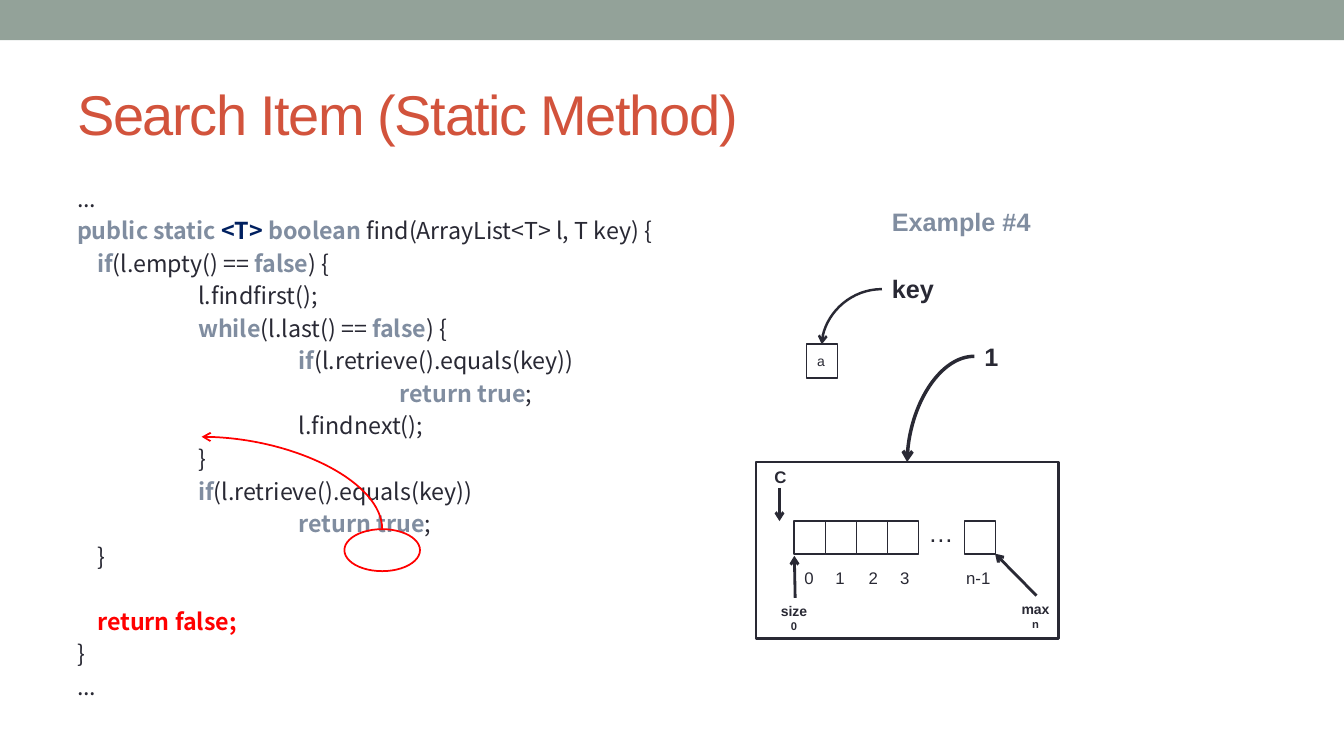
from pptx import Presentation
from pptx.dml.color import RGBColor
from pptx.enum.shapes import MSO_CONNECTOR as CONN, MSO_SHAPE as SHAPE
from pptx.enum.text import MSO_ANCHOR as ANCHOR, MSO_AUTO_SIZE as AUTO, PP_ALIGN as ALIGN
from pptx.oxml.ns import qn
from pptx.util import Pt
from lxml import etree

C = {name: RGBColor.from_string(value) for name, value in {
    "bar": "93A299", "title": "D2533C", "ink": "292934", "keyword": "808DA0",
    "type": "002060", "red": "FF0000", "white": "FFFFFF"}.items()}

prs = Presentation()
prs.slide_width, prs.slide_height = Pt(960), Pt(540)
s = prs.slides.add_slide(prs.slide_layouts[5])


def add_shape(kind, x, y, w, h, line=None, width=1.25, fill=None):
    sp = s.shapes.add_shape(kind, Pt(x), Pt(y), Pt(w), Pt(h))
    sp.shadow.inherit = False
    if fill:
        sp.fill.solid()
        sp.fill.fore_color.rgb = C[fill]
    else:
        sp.fill.background()
    if line:
        sp.line.color.rgb = C[line]
        sp.line.width = Pt(width)
    else:
        sp.line.fill.background()


# Top bar and title
add_shape(SHAPE.RECTANGLE, 0, 0, 960, 28.8, fill="bar")
title = s.shapes.title
title.left, title.top, title.width, title.height = Pt(48), Pt(42), Pt(864), Pt(78)
tf = title.text_frame
tf.text = "Search Item (Static Method)"
tf.vertical_anchor = ANCHOR.MIDDLE
p = tf.paragraphs[0]
p.alignment = ALIGN.LEFT
p.font.name, p.font.size, p.font.color.rgb = "Arial", Pt(40), C["title"]
p.runs[0].font.size = Pt(40)
p.runs[0]._r.get_or_add_rPr().set("spc", "-100")

# Code: nesting level, then runs of text and colour; all but ink is bold
test = [("if", "keyword"), ("(l.retrieve().equals(key))", "ink")]
found = [("return true", "keyword"), (";", "ink")]
code = [
    (0, [("...", "ink")]),
    (0, [("public static ", "keyword"), ("<T> ", "type"), ("boolean ", "keyword"),
         ("find(ArrayList<T> l, T key) {", "ink")]),
    (1, [("if", "keyword"), ("(l.empty() == ", "ink"), ("false", "keyword"), (") {", "ink")]),
    (2, [("l.findfirst();", "ink")]),
    (2, [("while", "keyword"), ("(l.last() == ", "ink"), ("false", "keyword"), (") {", "ink")]),
    (3, test),
    (4, found),
    (3, [("l.findnext();", "ink")]),
    (2, [("}", "ink")]),
    (2, test),
    (3, found),
    (1, [("}", "ink")]),
    (1, [("return false;", "red")]),
    (0, [("}", "ink")]),
    (0, [("...", "ink")]),
]
LINE = 23.25
tf = s.shapes.add_textbox(Pt(48), Pt(124.5), Pt(864), Pt(384)).text_frame
tf.word_wrap = True
for i, (level, runs) in enumerate(code):
    p = tf.paragraphs[0] if i == 0 else tf.add_paragraph()
    indent = 14.4 + 72 * (level - 1) if level else 0
    p._p.get_or_add_pPr().set("marL", str(Pt(indent)))
    p.line_spacing = Pt(LINE)
    if runs[0][1] == "red":
        p.space_before = Pt(LINE)
    p.font.name, p.font.size = "Noto Sans CJK SC", Pt(16.6)
    for text, color in runs:
        r = p.add_run()
        r.text = text
        r.font.color.rgb = C[color]
        r.font.bold = color != "ink"

# Array cells, list frame, key cell and highlight
CELL_W, CELL_H = 22.2, 23.8
for i in range(4):
    add_shape(SHAPE.RECTANGLE, 567.4 + i * CELL_W, 372.2, CELL_W, CELL_H, "ink")
add_shape(SHAPE.RECTANGLE, 689, 372.2, CELL_W, CELL_H, "ink", fill="white")
add_shape(SHAPE.RECTANGLE, 540, 330, 216, 126, "ink", 2)
add_shape(SHAPE.RECTANGLE, 576, 246, CELL_W, CELL_H, "ink")
add_shape(SHAPE.OVAL, 246, 378, 54, 30, "red")

# Labels: lines, left, top, width, height, size, bold, colour
labels = [
    (["…"], 656, 366, 32.4, 29, 18, False, "ink"),
    (["0"], 567.4, 401.8, 21, 21.8, 12, False, "ink"),
    (["1"], 589.7, 401.8, 21, 21.8, 12, False, "ink"),
    (["2"], 613.4, 401.8, 21, 21.8, 12, False, "ink"),
    (["3"], 635.8, 401.8, 21, 21.8, 12, False, "ink"),
    (["n-1"], 683, 401.8, 32, 21.8, 12, False, "ink"),
    (["C"], 546, 330, 23, 21.8, 12, True, "ink"),
    (["size", "0"], 550.6, 427, 34, 29, 10, True, "ink"),
    (["max", "n"], 722.6, 425.5, 36, 29, 10, True, "ink"),
    (["1"], 696, 240, 24.5, 29, 18, True, "ink"),
    (["key"], 630, 192, 44.6, 29, 18, True, "ink"),
    (["a"], 576.5, 248.4, 21, 19.4, 10, False, "ink"),
    (["Example #4"], 630, 144, 118, 29, 18, True, "keyword"),
]
for lines, x, y, w, h, size, bold, color in labels:
    tf = s.shapes.add_textbox(Pt(x), Pt(y), Pt(w), Pt(h)).text_frame
    tf.word_wrap = False
    tf.auto_size = AUTO.SHAPE_TO_FIT_TEXT
    for i, text in enumerate(lines):
        p = tf.paragraphs[0] if i == 0 else tf.add_paragraph()
        p.text = text
        p.font.name, p.font.bold = "Arial", bold
        p.font.size = Pt(8 if i else size)
        p.font.color.rgb = C[color]
        if i:
            p.alignment = ALIGN.CENTER

# Arrows: kind, start, end, colour, width, end that carries the arrowhead
arrows = [
    (CONN.STRAIGHT, 556.8, 348.5, 556.8, 372.2, "ink", 2, "tailEnd"),
    (CONN.STRAIGHT, 568, 427, 567.4, 397, "ink", 2, "tailEnd"),
    (CONN.STRAIGHT, 740.4, 425.5, 710.8, 395.5, "ink", 2, "tailEnd"),
    (CONN.CURVE, 696, 254.5, 648, 330, "ink", 2.5, "tailEnd"),
    (CONN.CURVE, 630, 206.5, 587, 246, "ink", 1.75, "tailEnd"),
    (CONN.CURVE, 144, 312, 273, 378, "red", 1.25, "headEnd"),
]
for kind, x1, y1, x2, y2, color, width, end in arrows:
    cx = s.shapes.add_connector(kind, Pt(x1), Pt(y1), Pt(x2), Pt(y2))
    cx.line.color.rgb = C[color]
    cx.line.width = Pt(width)
    etree.SubElement(cx.line._get_or_add_ln(), qn("a:" + end), type="arrow")
    spPr = cx._element.spPr
    etree.SubElement(spPr, qn("a:effectLst"))
    if kind == CONN.CURVE:  # quarter bend: leaves level, arrives upright
        spPr.find(qn("a:prstGeom")).set("prst", "curvedConnector2")

prs.save("out.pptx")
